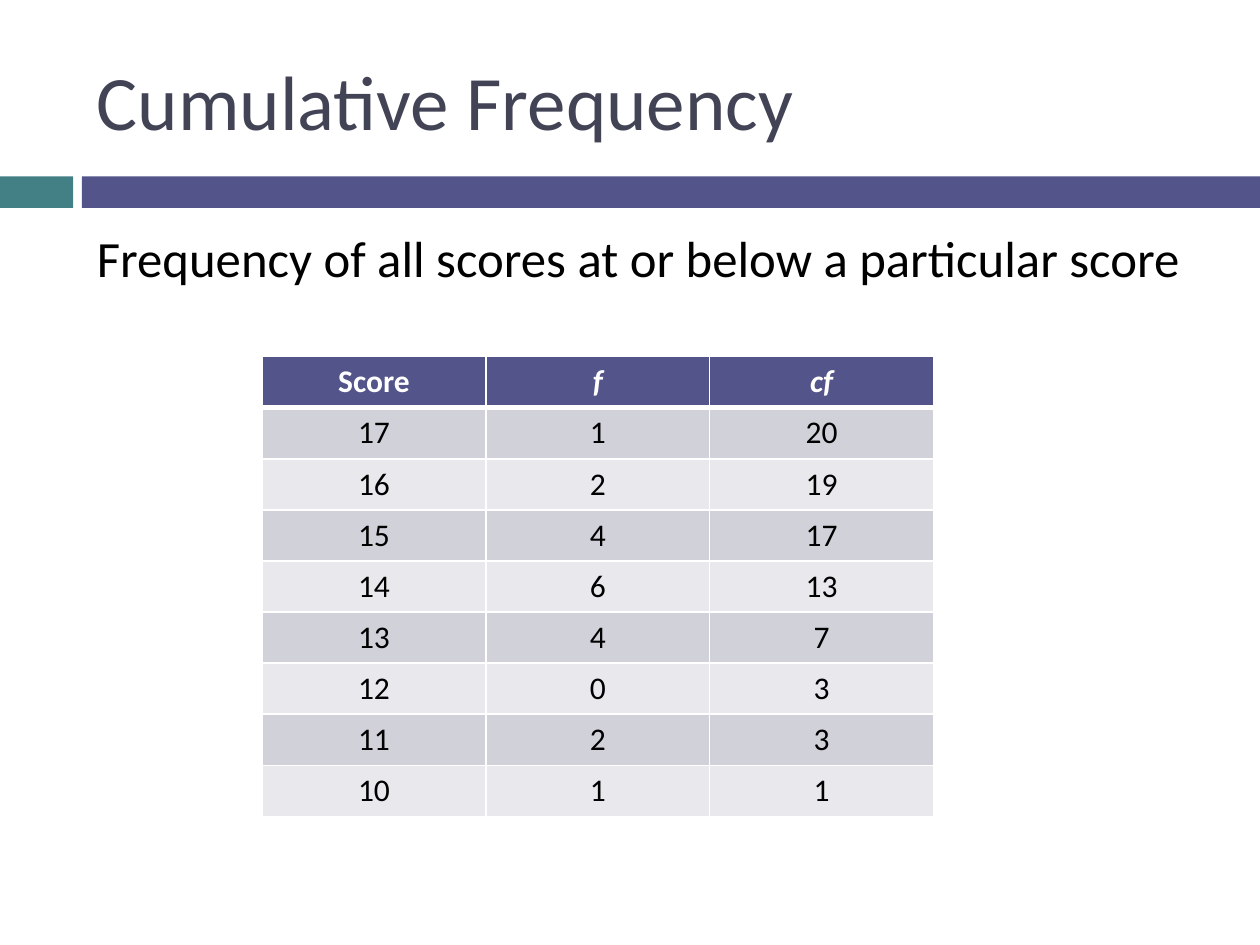
from dataclasses import dataclass

import pptx
import pptx.dml.color
import pptx.enum.shapes
import pptx.enum.text
import pptx.oxml
import pptx.oxml.ns
import pptx.util
from pptx.dml.color import RGBColor
from pptx.util import Inches

WHITE = RGBColor(0xFF, 0xFF, 0xFF)
BLACK = RGBColor(0x00, 0x00, 0x00)
SLATE = RGBColor(0x42, 0x44, 0x56)
TEAL = RGBColor(0x43, 0x80, 0x86)
INDIGO = RGBColor(0x53, 0x54, 0x8A)
ROW_FILLS = (RGBColor(0xD1, 0xD1, 0xDA), RGBColor(0xE9, 0xE9, 0xED))

MIDDLE = pptx.enum.text.MSO_ANCHOR.MIDDLE
TOP = pptx.enum.text.MSO_ANCHOR.TOP

SCORES = [17, 16, 15, 14, 13, 12, 11, 10]
FREQUENCIES = [1, 2, 4, 6, 4, 0, 2, 1]
CUMULATIVE = [20, 19, 17, 13, 7, 3, 3, 1]


@dataclass
class Band:
    left: float
    width: float
    color: RGBColor


@dataclass
class Passage:
    text: str
    top: float
    height: float
    size: int
    color: RGBColor
    anchor: pptx.enum.text.MSO_ANCHOR
    hanging: float = 0


BANDS = [Band(0, 0.58, TEAL), Band(0.65, 9.35, INDIGO)]
PASSAGES = [
    Passage("Cumulative Frequency", 0.25, 1.08, 44, SLATE, MIDDLE),
    Passage("Frequency of all scores at or below a particular score",
            1.75, 4.92, 29, BLACK, TOP, 0.35),
]


def style_font(font: pptx.text.text.Font, size: int, color: RGBColor,
               bold: bool = False, italic: bool = False) -> None:
    formats = {"name": "Calibri", "size": pptx.util.Pt(size),
               "bold": bold, "italic": italic}
    for attribute, value in formats.items():
        setattr(font, attribute, value)
    font.color.rgb = color


def draw_band(slide: pptx.slide.Slide, band: Band) -> None:
    bar = slide.shapes.add_shape(
        pptx.enum.shapes.MSO_SHAPE.RECTANGLE,
        Inches(band.left), Inches(1.4), Inches(band.width), Inches(0.25))
    bar.shadow.inherit = False
    bar.fill.solid()
    bar.fill.fore_color.rgb = band.color
    bar.line.fill.background()


def draw_passage(slide: pptx.slide.Slide, passage: Passage) -> None:
    box = slide.shapes.add_textbox(
        Inches(0.67), Inches(passage.top), Inches(8.92), Inches(passage.height))
    frame = box.text_frame
    frame.word_wrap = True
    frame.vertical_anchor = passage.anchor
    paragraph = frame.paragraphs[0]
    if passage.hanging:
        properties = paragraph._p.get_or_add_pPr()
        properties.set("marL", str(Inches(passage.hanging)))
        properties.set("indent", str(Inches(-passage.hanging)))
    run = paragraph.add_run()
    run.text = passage.text
    style_font(run.font, passage.size, passage.color)


def set_borders(cell: pptx.table._Cell, top: float, bottom: float) -> None:
    widths = {"lnL": 1, "lnR": 1, "lnT": top, "lnB": bottom}
    for side, width in widths.items():
        cell._tc.get_or_add_tcPr().append(pptx.oxml.parse_xml(
            f'<a:{side} {pptx.oxml.ns.nsdecls("a")} w="{pptx.util.Pt(width)}">'
            f'<a:solidFill><a:srgbClr val="{WHITE}"/></a:solidFill></a:{side}>'))


def draw_frequency_table(slide: pptx.slide.Slide) -> None:
    rows = [("Score", "f", "cf"), *zip(SCORES, FREQUENCIES, CUMULATIVE)]
    table = slide.shapes.add_table(
        len(rows), 3, Inches(2.08), Inches(2.83), Inches(5.33), Inches(3.65)).table
    for r, row in enumerate(rows):
        header = r == 0
        for c, value in enumerate(row):
            cell = table.cell(r, c)
            # The heavy rule is shared by the header and the first score row
            set_borders(cell, top=3 if r == 1 else 1, bottom=3 if header else 1)
            cell.fill.solid()
            cell.fill.fore_color.rgb = INDIGO if header else ROW_FILLS[(r - 1) % 2]
            paragraph = cell.text_frame.paragraphs[0]
            paragraph.alignment = pptx.enum.text.PP_ALIGN.CENTER
            run = paragraph.add_run()
            run.text = str(value)
            style_font(run.font, 18, WHITE if header else BLACK,
                       bold=header, italic=header and c > 0)


def main() -> None:
    deck = pptx.Presentation()
    deck.slide_width, deck.slide_height = Inches(10), Inches(7.5)
    slide = deck.slides.add_slide(deck.slide_layouts[6])

    # Divider under the title
    for band in BANDS:
        draw_band(slide, band)

    # Title and definition
    for passage in PASSAGES:
        draw_passage(slide, passage)

    # Score distribution
    draw_frequency_table(slide)

    deck.save("out.pptx")


if __name__ == "__main__":
    main()
